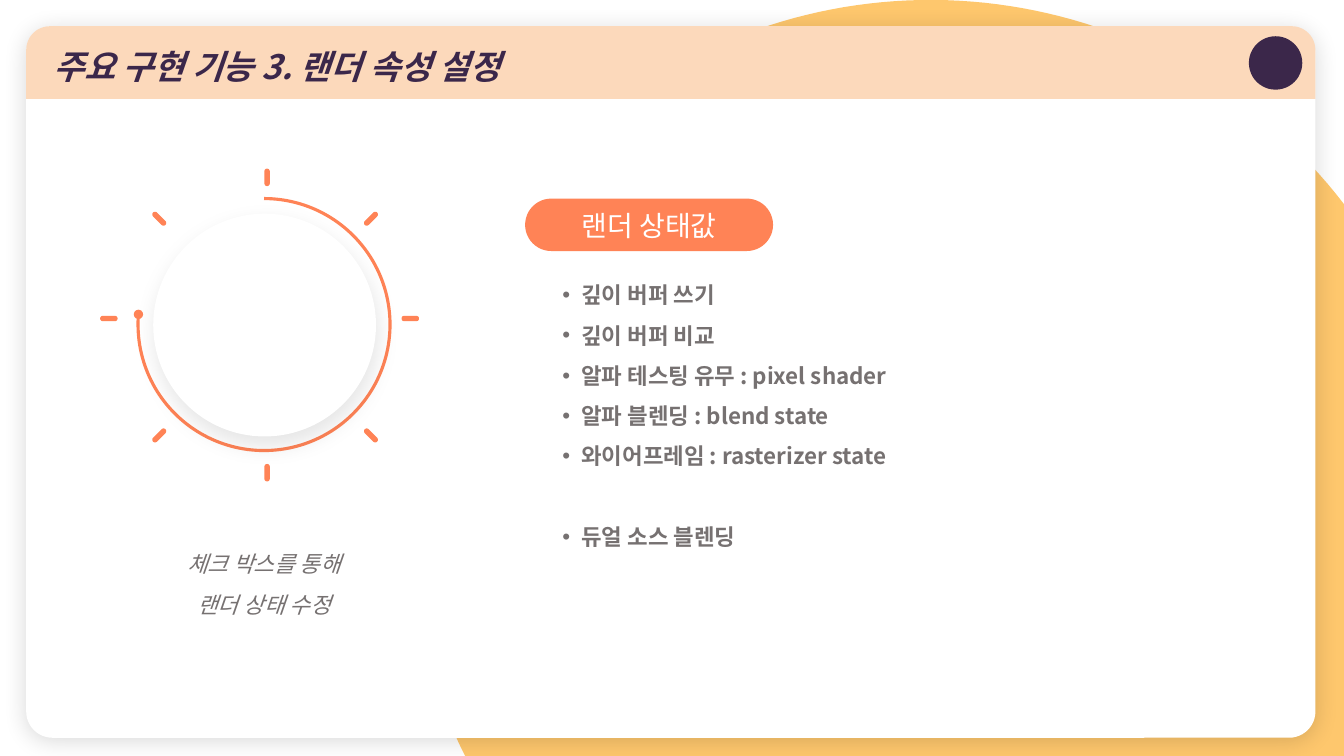
from dataclasses import dataclass
from math import acos, asin, cos, pi, sin

from lxml.etree import SubElement
from pptx import Presentation
from pptx.dml.color import RGBColor
from pptx.enum.shapes import MSO_SHAPE
from pptx.enum.text import MSO_ANCHOR, MSO_AUTO_SIZE, PP_ALIGN
from pptx.oxml.ns import qn
from pptx.util import Emu, Inches, Pt

COLUMNS, ROWS = 160, 90
CELL = Inches(1) // 12
FONT = "Noto Sans CJK KR"
COLORS = {"white": "FFFFFF", "sun": "FEC76D", "peach": "FCD9BB", "plum": "3B274A",
          "coral": "FF8356", "grey": "767171", "black": "000000"}


@dataclass
class Box:
    """A rectangle in grid columns and rows."""
    left: float
    top: float
    width: float
    height: float

    def inner(self, left, top, width, height):
        """Return a box placed relative to this one."""
        return Box(self.left + left, self.top + top, width, height)

    def emu(self):
        """Return left, top, width and height in EMU."""
        return [Emu(round(n * CELL)) for n in (self.left, self.top, self.width, self.height)]


def rgb(color):
    """Look up a palette colour."""
    return RGBColor.from_string(COLORS[color])


def paint(shape, fill=None, line=None, weight=1):
    """Set fill and outline and drop the theme shadow."""
    shape.shadow.inherit = False
    if fill:
        shape.fill.solid()
        shape.fill.fore_color.rgb = rgb(fill)
    else:
        shape.fill.background()
    if line:
        shape.line.color.rgb = rgb(line)
        shape.line.width = Pt(weight)
    else:
        shape.line.fill.background()


def add_preset(slide, kind, box, adjust=(), **colors):
    """Add a painted preset shape."""
    shape = slide.shapes.add_shape(kind, *box.emu())
    for index, value in enumerate(adjust):
        shape.adjustments[index] = value
    paint(shape, **colors)
    return shape


def cast_shadow(shape, opacity, blur, distance, direction):
    """Give a shape a soft outer shadow."""
    effects = shape._element.spPr.find(qn("a:effectLst"))
    shadow = SubElement(effects, qn("a:outerShdw"), blurRad=str(Pt(blur)), dist=str(Pt(distance)),
                        dir=str(direction * 60000), algn="t", rotWithShape="0")
    tint = SubElement(shadow, qn("a:srgbClr"), val=COLORS["black"])
    SubElement(tint, qn("a:alpha"), val=str(opacity * 1000))


def write(shape, lines, size, color, align=PP_ALIGN.LEFT, spacing=None, bold=False, italic=False):
    """Fill a shape with formatted paragraphs and return them."""
    frame = shape.text_frame
    frame.word_wrap = True
    frame.text = "\n".join(lines)
    for paragraph in frame.paragraphs:
        paragraph.alignment = align
        if spacing:
            paragraph.line_spacing = spacing
        for run in paragraph.runs:
            font = run.font
            font.name, font.size, font.bold, font.italic = FONT, Pt(size), bold, italic
            font.color.rgb = rgb(color)
            SubElement(run._r.get_or_add_rPr(), qn("a:ea"), typeface=FONT)
    return frame.paragraphs


def add_text(slide, box, lines, **style):
    """Add a text box that grows with its text and return its paragraphs."""
    holder = slide.shapes.add_textbox(*box.emu())
    paragraphs = write(holder, lines, **style)
    holder.text_frame.auto_size = MSO_AUTO_SIZE.SHAPE_TO_FIT_TEXT
    return paragraphs


def draw_sun(slide, page):
    """Draw the large circle cut off by the right and bottom slide edges."""
    center_x, radius = page.left + 110.76, 62.04
    center_y = page.top + radius
    right, bottom = page.left + page.width, page.top + page.height
    start = pi - asin((bottom - center_y) / radius)
    end = 2 * pi - acos((right - center_x) / radius)
    angles = [start + (end - start) * step / 120 for step in range(121)]
    rim = [(center_x + radius * cos(a), center_y + radius * sin(a)) for a in angles]
    outline = [(round(x * CELL), round(y * CELL)) for x, y in rim + [(right, bottom)]]
    builder = slide.shapes.build_freeform(*outline[0])
    builder.add_line_segments(outline[1:], close=True)
    paint(builder.convert_to_shape(), fill="sun")


def draw_card(slide, box, title):
    """Draw the white card with its title bar and corner disc."""
    card = add_preset(slide, MSO_SHAPE.ROUNDED_RECTANGLE, box, [0.037], fill="white")
    cast_shadow(card, 14, 17, 3, 90)
    header = add_preset(slide, MSO_SHAPE.ROUND_2_SAME_RECTANGLE,
                        box.inner(0, 0, box.width, 8.64), [0.327, 0], fill="peach")
    header.text_frame.vertical_anchor = MSO_ANCHOR.MIDDLE
    heading = write(header, [title], 24, "plum", bold=True, italic=True)[0]
    heading._p.get_or_add_pPr().set("marL", str(Inches(0.1)))
    add_preset(slide, MSO_SHAPE.OVAL, box.inner(145.56, 1.2, 6.36, 6.36), fill="plum")


def draw_dial(slide, box):
    """Draw the dial with its ticks, progress arc and knob."""
    add_preset(slide, MSO_SHAPE.OVAL, box, line="white", weight=2.25)
    ticks = [(15.36, y, 0) for y in (-2.52, 32.64)]
    ticks += [(x, 14.28, 90) for x in (-3.48, 32.4)]
    ticks += [(x, y, 45 if (x < 15) != (y < 15) else 315)
              for x in (2.52, 27.72) for y in (2.4, 28.2)]
    for x, y, angle in ticks:
        tick = add_preset(slide, MSO_SHAPE.ROUNDED_RECTANGLE,
                          box.inner(x - 0.24, y - 0.96, 0.48, 1.92), [0.5],
                          fill="coral", line="coral")
        tick.rotation = angle
    progress = add_preset(slide, MSO_SHAPE.ARC, box, [162, 110.78], line="coral", weight=2.25)
    SubElement(progress.line._get_or_add_ln(), qn("a:tailEnd"), type="oval")
    knob = add_preset(slide, MSO_SHAPE.OVAL, box.inner(1.8, 1.8, 26.52, 26.52), fill="white")
    cast_shadow(knob, 10, 16, 7, 80)


def draw_settings(slide, box, heading, settings, extra):
    """Draw the heading pill and the bulleted settings, the extra one set apart."""
    pill = add_preset(slide, MSO_SHAPE.ROUNDED_RECTANGLE,
                      box.inner(0, 0, 29.52, 6.24), [0.5], fill="coral")
    pill.text_frame.vertical_anchor = MSO_ANCHOR.MIDDLE
    write(pill, [heading], 20, "white", align=PP_ALIGN.CENTER)
    bullets = add_text(slide, box.inner(3.24, 7.68, 65.16, 34.56), settings + [extra],
                       size=16, color="grey", spacing=1.5, bold=True)
    bullets[-1].space_before = Pt(28.8)
    for bullet in bullets:
        properties = bullet._p.get_or_add_pPr()
        properties.set("marL", str(Inches(0.19)))
        properties.set("indent", str(-Inches(0.19)))
        SubElement(properties, qn("a:buFont"), typeface="Arial")
        SubElement(properties, qn("a:buChar"), char="•")


def build():
    """Build and save the presentation."""
    deck = Presentation()
    deck.slide_width, deck.slide_height = COLUMNS * CELL, ROWS * CELL
    slide = deck.slides.add_slide(deck.slide_layouts[6])
    draw_sun(slide, Box(0, 0, COLUMNS, ROWS))
    draw_card(slide, Box(3.12, 3.12, 153.48, 84.72), "주요 구현 기능 3. 랜더 속성 설정")
    add_text(slide, Box(10.56, 63.36, 41.76, 10.32), ["체크 박스를 통해", "랜더 상태 수정"],
             size=16, color="grey", align=PP_ALIGN.CENTER, spacing=1.5, italic=True)
    draw_dial(slide, Box(16.44, 23.64, 30, 30))
    draw_settings(slide, Box(62.52, 23.64, 68.4, 42.24), "랜더 상태값",
                  ["깊이 버퍼 쓰기", "깊이 버퍼 비교", "알파 테스팅 유무 : pixel shader",
                   "알파 블렌딩 : blend state", "와이어프레임 : rasterizer state"],
                  "듀얼 소스 블렌딩")
    deck.save("out.pptx")


build()
